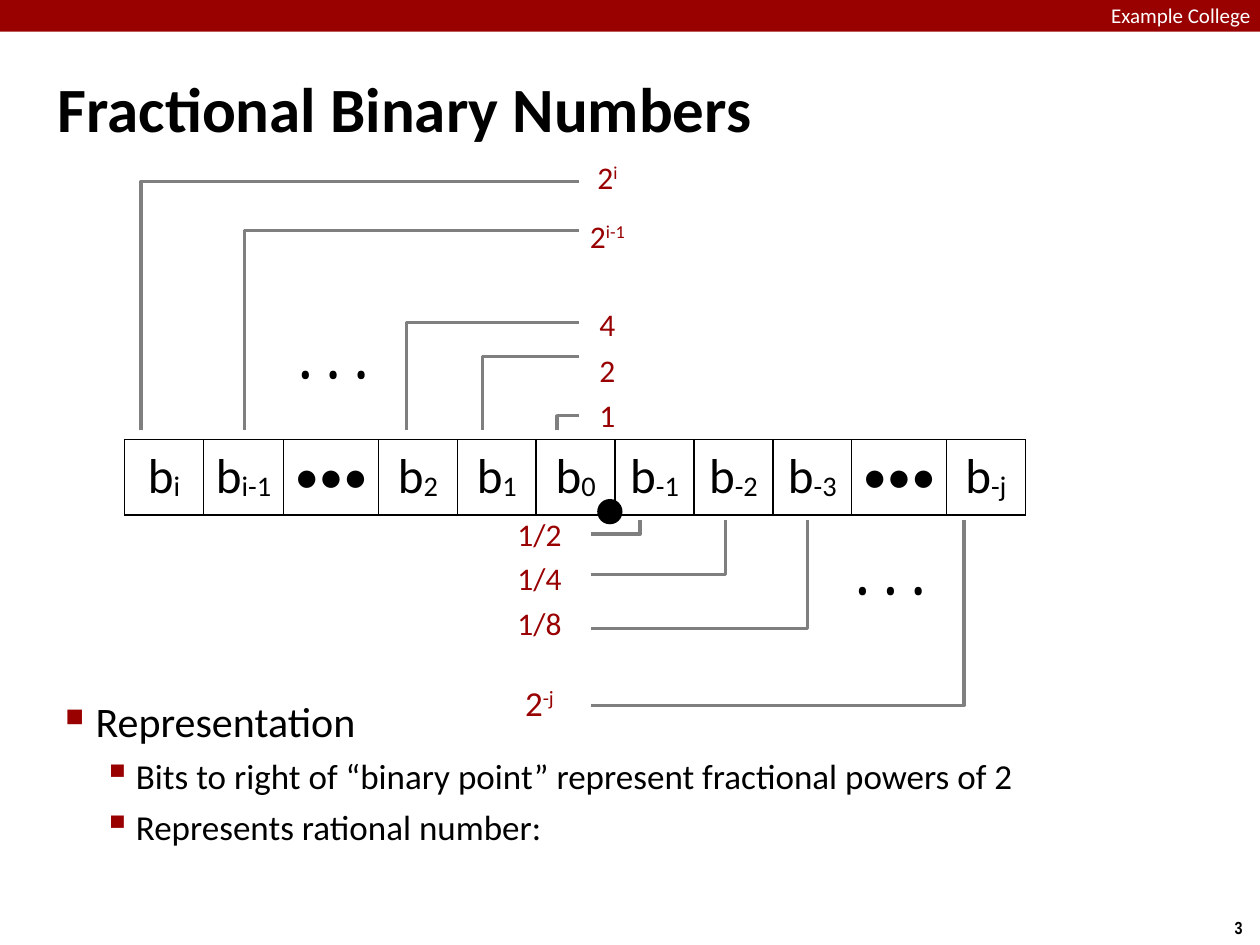
"""Build the slide on fractional binary numbers."""
import pptx
import pptx.dml.color
import pptx.enum.shapes
import pptx.enum.text
import pptx.oxml.ns
import pptx.util
from lxml import etree

Cm, Pt, qn = pptx.util.Cm, pptx.util.Pt, pptx.oxml.ns.qn
ALIGN = pptx.enum.text.PP_ALIGN
ANCHOR = pptx.enum.text.MSO_ANCHOR
SHAPE = pptx.enum.shapes.MSO_SHAPE

THEME = {
    "font": "Calibri", "dots_font": "Cambria", "number_font": "Arial Narrow",
    "band": "990000", "weight": "980002", "ink": "000000",
    "paper": "FFFFFF", "bracket": "7F7F7F",
    "title": 36, "bit": 28, "body": 24, "sub_body": 20, "label": 18,
    "header": 12, "gap": 12, "number": 10,
}

HEADER = "Example College"
TITLE = "Fractional Binary Numbers"
PAGE = "3"
ELLIPSIS = "• • •"
BODY = [
    (0, "Representation"),
    (1, "Bits to right of “binary point” represent fractional powers of 2"),
    (1, "Represents rational number:"),
]
LEVELS = [
    {"size": THEME["body"], "indent": 0.61, "hang": 0.61, "before": 0, "bullet": "■", "scale": 60},
    {"size": THEME["sub_body"], "indent": 1.42, "hang": 0.66, "before": 5, "bullet": "▪", "scale": 110},
]
BITS = [("b", "i"), ("b", "i-1"), ("•••", ""), ("b", "2"), ("b", "1"), ("b", "0"),
        ("b", "-1"), ("b", "-2"), ("b", "-3"), ("•••", ""), ("b", "-j")]
BIT_WIDTHS = {"i-1": 1.62, "": 1.91}
WHOLE_WEIGHTS = [("2", "i", 1.19), ("2", "i-1", 1.19), ("", "", 0.74),
                 ("4", "", 0.91), ("2", "", 0.91), ("1", "", 0.91)]
FRACTION_WEIGHTS = [("1/2", "", 0.89), ("1/4", "", 0.89), ("1/8", "", 0.89),
                    ("", "", 0.56), ("2", "-j", 1.24)]
WHOLE_CORNERS = [(11.23, 8.38), (9.73, 7.19), (8.2, 6.5), (4.93, 4.65), (2.84, 3.66)]
FRACTION_CORNERS = [(12.9, 10.77), (14.63, 11.58), (16.28, 12.67), (19.43, 14.22)]


def rgb(name):
    return pptx.dml.color.RGBColor.from_string(THEME[name])


def write(p, text, script="", rise=0, size=THEME["label"], color="ink",
          font="font", bold=False, align=ALIGN.LEFT):
    p.alignment = align
    for part, base in ((text, 0), (script, rise)):
        if part:
            r = p.add_run()
            r.text = part
            r.font.size, r.font.bold, r.font.name = Pt(size), bold, THEME[font]
            r.font.color.rgb = rgb(color)
            if base:
                r.font._element.set("baseline", str(base * 1000))


def set_frame(tf, inset=0.0, anchor=ANCHOR.TOP, wrap=True):
    tf.margin_left = tf.margin_right = tf.margin_top = tf.margin_bottom = Cm(inset)
    tf.vertical_anchor, tf.word_wrap = anchor, wrap
    return tf


def add_box(s, x, y, w, h, **frame):
    sp = s.shapes.add_textbox(Cm(x), Cm(y), Cm(w), Cm(h))
    return set_frame(sp.text_frame, **frame)


def add_solid(s, kind, x, y, w, h, fill):
    sp = s.shapes.add_shape(kind, Cm(x), Cm(y), Cm(w), Cm(h))
    sp.shadow.inherit = False
    sp.fill.solid()
    sp.fill.fore_color.rgb = rgb(fill)
    sp.line.fill.background()
    return sp


def add_borders(cell, color):
    tc_pr = cell._tc.get_or_add_tcPr()
    for side in ("a:lnL", "a:lnR", "a:lnT", "a:lnB"):
        ln = etree.SubElement(tc_pr, qn(side), w=str(Pt(1)))
        fill = etree.SubElement(ln, qn("a:solidFill"))
        etree.SubElement(fill, qn("a:srgbClr"), val=THEME[color])
    cell.fill.background()


def add_grid(s, x, y, widths, heights, items, border, inset=0.0, **style):
    frame = s.shapes.add_table(len(heights), len(widths), Cm(x), Cm(y),
                               Cm(sum(widths)), Cm(sum(heights)))
    table = frame.table
    table.first_row = table.horz_banding = False
    for column, width in zip(table.columns, widths):
        column.width = Cm(width)
    for row, height in zip(table.rows, heights):
        row.height = Cm(height)
    for cell, (text, script) in zip(table.iter_cells(), items):
        add_borders(cell, border)
        cell.margin_left = cell.margin_right = cell.margin_top = cell.margin_bottom = Cm(inset)
        cell.vertical_anchor = ANCHOR.MIDDLE
        p = cell.text_frame.paragraphs[0]
        write(p, text, script, align=ALIGN.CENTER, **style)
        if not text:
            etree.SubElement(p._p, qn("a:endParaRPr"), sz=str(THEME["gap"] * 100))
    return table


def add_weights(s, x, y, width, rows):
    return add_grid(s, x, y, [width], [row[2] for row in rows], [row[:2] for row in rows],
                    "paper", color="weight", rise=32)


def add_bracket(s, start_x, corner, end_y):
    x, y = corner
    builder = s.shapes.build_freeform(Cm(start_x), Cm(y))
    builder.add_line_segments([(Cm(x), Cm(y)), (Cm(x), Cm(end_y))], close=False)
    sp = builder.convert_to_shape()
    sp.shadow.inherit = False
    sp.fill.background()
    sp.line.color.rgb = rgb("bracket")
    sp.line.width = Pt(2)


def add_ellipsis(s, x, y, rotation):
    sp = add_solid(s, SHAPE.RECTANGLE, x, y, 1.55, 1.47, "paper")
    sp.rotation = rotation
    tf = set_frame(sp.text_frame, inset=0.1, anchor=ANCHOR.MIDDLE, wrap=False)
    write(tf.paragraphs[0], ELLIPSIS, size=THEME["body"], font="dots_font")


def add_body(s):
    tf = add_box(s, 1.22, 13.92, 23.55, 5.13, inset=0.1)
    for i, (level, text) in enumerate(BODY):
        p = tf.add_paragraph() if i else tf.paragraphs[0]
        look = LEVELS[level]
        write(p, text, size=look["size"])
        p.level, p.space_before = level, Pt(look["before"])
        p_pr = p._p.get_or_add_pPr()
        p_pr.set("marL", str(Cm(look["indent"])))
        p_pr.set("indent", str(-Cm(look["hang"])))
        color = etree.SubElement(p_pr, qn("a:buClr"))
        etree.SubElement(color, qn("a:srgbClr"), val=THEME["band"])
        etree.SubElement(p_pr, qn("a:buSzPct"), val=str(look["scale"] * 1000))
        etree.SubElement(p_pr, qn("a:buChar"), char=look["bullet"])


def main():
    prs = pptx.Presentation()
    prs.slide_width, prs.slide_height = Cm(25.4), Cm(19.05)
    s = prs.slides.add_slide(prs.slide_layouts[6])

    tf = add_box(s, 24.54, 18.36, 0.86, 0.69, inset=0.13, wrap=False)
    write(tf.paragraphs[0], PAGE, size=THEME["number"], font="number_font",
          bold=True, align=ALIGN.CENTER)
    add_weights(s, 11.43, 3, 1.63, WHOLE_WEIGHTS)
    fractions = add_weights(s, 9.96, 10.36, 1.83, FRACTION_WEIGHTS)
    for r in fractions.cell(len(FRACTION_WEIGHTS) - 1, 0).text_frame.paragraphs[0].runs:
        r.font.size = Pt(THEME["sub_body"])
    widths = [BIT_WIDTHS.get(script, 1.59) for _, script in BITS]
    add_grid(s, 2.51, 8.86, widths, [1.52], BITS, "ink", inset=0.15,
             size=THEME["bit"], rise=-6)

    add_solid(s, SHAPE.RECTANGLE, 0, 0, 25.4, 0.64, "band")
    tf = add_box(s, 22.4, 0.05, 3, 0.48)
    write(tf.paragraphs[0], HEADER, size=THEME["header"], color="paper")
    tf = add_box(s, 1.07, 0, 19.08, 4.32, inset=0.1, anchor=ANCHOR.MIDDLE)
    write(tf.paragraphs[0], TITLE, size=THEME["title"], bold=True)
    add_body(s)

    add_ellipsis(s, 17.25, 11.28, 180)
    add_ellipsis(s, 5.87, 6.73, 0)
    for corner in WHOLE_CORNERS:
        add_bracket(s, 11.68, corner, 8.66)
    for corner in FRACTION_CORNERS:
        add_bracket(s, 11.92, corner, 10.49)
    add_solid(s, SHAPE.OVAL, 12.04, 10.06, 0.51, 0.51, "ink")
    prs.save("out.pptx")


if __name__ == "__main__":
    main()
